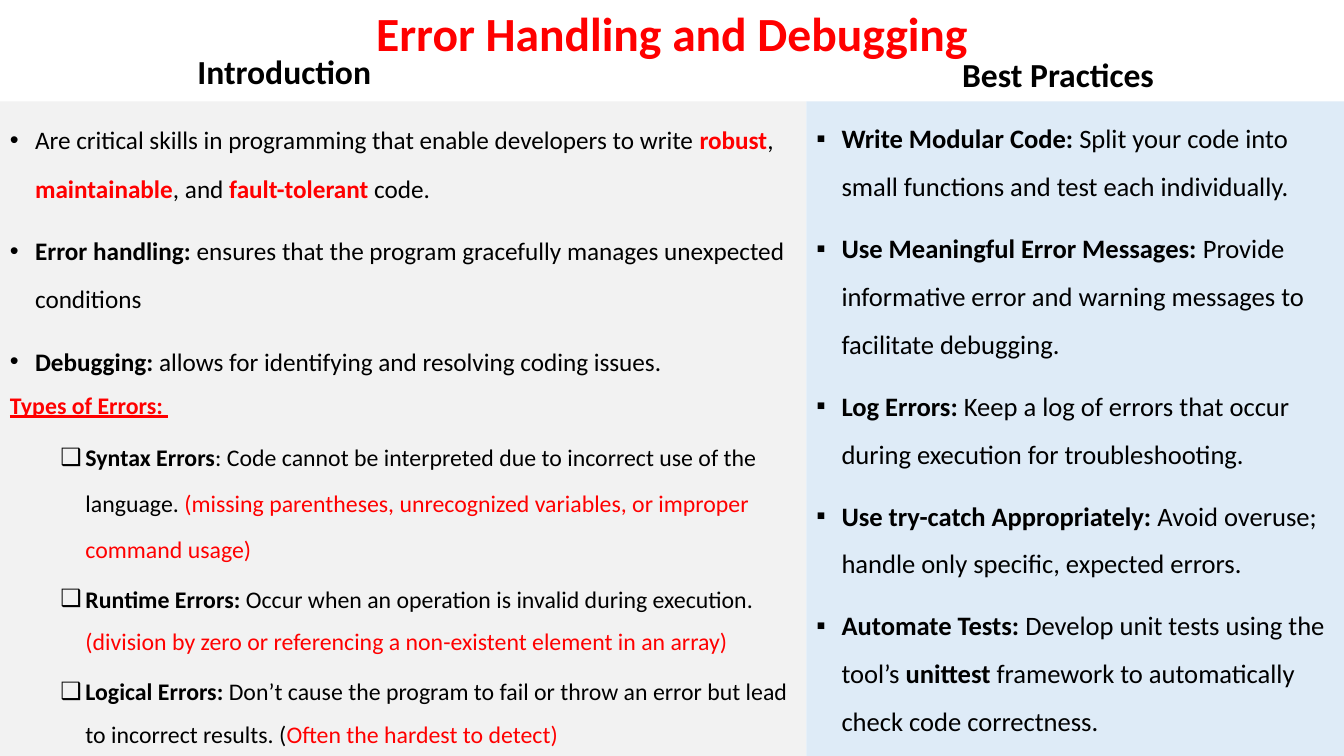
from lxml import etree
from pptx import Presentation
from pptx.dml.color import RGBColor
from pptx.enum.shapes import MSO_SHAPE
from pptx.enum.text import MSO_ANCHOR, PP_ALIGN
from pptx.oxml.ns import qn
from pptx.util import Pt

RECTANGLE = MSO_SHAPE.RECTANGLE
TOP, MIDDLE, BOTTOM = MSO_ANCHOR.TOP, MSO_ANCHOR.MIDDLE, MSO_ANCHOR.BOTTOM
LEFT, CENTER = PP_ALIGN.LEFT, PP_ALIGN.CENTER

BLACK = RGBColor(0x00, 0x00, 0x00)
RED = RGBColor(0xFF, 0x00, 0x00)
GREY = RGBColor(0xF2, 0xF2, 0xF2)
PALE_BLUE = RGBColor(0xDE, 0xEB, 0xF7)
FONT = "Calibri"

SLIDE_W, SLIDE_H = 960, 540
PANEL_TOP = 72.5
SPLIT = 576
HANGING = 18

# Run styles: (colour, bold, underlined)
PLAIN = (BLACK, False, False)
BOLD = (BLACK, True, False)
RED_PLAIN = (RED, False, False)
RED_BOLD = (RED, True, False)
RED_HEAD = (RED, True, True)
RED_SPACE = (RED, False, True)

INTRODUCTION = [
    [("Are critical skills in programming that enable developers to write ", PLAIN),
     ("robust", RED_BOLD), (", ", PLAIN), ("maintainable", RED_BOLD),
     (", and ", PLAIN), ("fault-tolerant", RED_BOLD), (" code.", PLAIN)],
    [("Error handling: ", BOLD),
     ("ensures that the program gracefully manages unexpected conditions", PLAIN)],
    [("Debugging: ", BOLD),
     ("allows for identifying and resolving coding issues.", PLAIN)],
]

# Each error type with its line spacing
ERROR_TYPES = [
    (1.6, [("Syntax Errors", BOLD),
           (": Code cannot be interpreted due to incorrect use of the language. ", PLAIN),
           ("(missing parentheses, unrecognized variables, or improper command usage)",
            RED_PLAIN)]),
    (1.5, [("Runtime Errors:", BOLD),
           (" Occur when an operation is invalid during execution. ", PLAIN),
           ("(division by zero or referencing a non-existent element in an array)",
            RED_PLAIN)]),
    (1.5, [("Logical Errors:", BOLD),
           (" Don’t cause the program to fail or throw an error but lead to"
            " incorrect results. (", PLAIN),
           ("Often the hardest to detect)", RED_PLAIN)]),
]

BEST_PRACTICES = [
    [("Write Modular Code:", BOLD),
     (" Split your code into small functions and test each individually.", PLAIN)],
    [("Use Meaningful Error Messages:", BOLD),
     (" Provide informative error and warning messages to facilitate debugging.", PLAIN)],
    [("Log Errors:", BOLD),
     (" Keep a log of errors that occur during execution for troubleshooting.", PLAIN)],
    [("Use try-catch Appropriately:", BOLD),
     (" Avoid overuse; handle only specific, expected errors.", PLAIN)],
    [("Automate Tests:", BOLD), (" Develop unit tests using the tool’s ", PLAIN),
     ("unittest", BOLD), (" framework to automatically check code correctness.", PLAIN)],
]


def write_paragraph(frame, runs, size, align=LEFT, spacing=1.0, before=10,
                    bullet=None, indent=HANGING):
    """Fill the empty first paragraph of the frame, or add one after the last."""
    first = frame.paragraphs[0]
    paragraph = frame.add_paragraph() if first.runs else first
    paragraph.alignment = align
    paragraph.line_spacing = spacing
    paragraph.space_before = Pt(before)
    for text, (color, bold, underlined) in runs:
        run = paragraph.add_run()
        run.text = text
        font = run.font
        font.name, font.size, font.bold = FONT, Pt(size), bold
        font.underline = underlined
        font.color.rgb = color
    if bullet:
        properties = paragraph._p.get_or_add_pPr()
        properties.set("marL", str(Pt(indent)))
        properties.set("indent", str(-Pt(HANGING)))
        etree.SubElement(properties, qn("a:buFont")).set("typeface", "Arial")
        etree.SubElement(properties, qn("a:buChar")).set("char", bullet)


def add_heading(slide, box, text, size, color, anchor, **paragraph_format):
    frame = slide.shapes.add_textbox(*map(Pt, box)).text_frame
    frame.word_wrap = True
    frame.vertical_anchor = anchor
    write_paragraph(frame, [(text, (color, True, False))], size, CENTER,
                    **paragraph_format)


def add_panel(slide, box, fill):
    panel = slide.shapes.add_shape(RECTANGLE, *map(Pt, box))
    panel.shadow.inherit = False
    panel.fill.solid()
    panel.fill.fore_color.rgb = fill
    panel.line.fill.background()
    frame = panel.text_frame
    frame.word_wrap = True
    frame.vertical_anchor = TOP
    return frame


def add_introduction(slide, box):
    left, top, width, height = box
    add_heading(slide, (left, top - 36.75, 406, 32.5), "Introduction", 24, BLACK,
                BOTTOM, spacing=0.8)
    frame = add_panel(slide, box, GREY)
    for point in INTRODUCTION:
        write_paragraph(frame, point, 18, spacing=1.6, bullet="•")
    write_paragraph(frame, [("Types of Errors:", RED_HEAD), (" ", RED_SPACE)], 17)
    for spacing, error_type in ERROR_TYPES:
        write_paragraph(frame, error_type, 17, spacing=spacing, before=5,
                        bullet="❑", indent=54)


def add_best_practices(slide, box):
    left, top, width, height = box
    add_heading(slide, (left - 24.5, top - 34.5, 408.5, 33), "Best Practices", 24,
                BLACK, BOTTOM, spacing=0.8)
    frame = add_panel(slide, box, PALE_BLUE)
    for practice in BEST_PRACTICES:
        write_paragraph(frame, practice, 19, spacing=1.5, bullet="▪")


def main():
    deck = Presentation()
    deck.slide_width, deck.slide_height = Pt(SLIDE_W), Pt(SLIDE_H)
    slide = deck.slides.add_slide(deck.slide_layouts[6])

    # Title
    add_heading(slide, (66, 4.3, 828, 42.5), "Error Handling and Debugging", 34, RED,
                MIDDLE, spacing=0.9, before=0)

    # Two columns
    panel_height = SLIDE_H - PANEL_TOP
    add_introduction(slide, (0, PANEL_TOP, SPLIT, panel_height))
    add_best_practices(slide, (SPLIT, PANEL_TOP, SLIDE_W - SPLIT, panel_height))

    deck.save("out.pptx")


if __name__ == "__main__":
    main()
